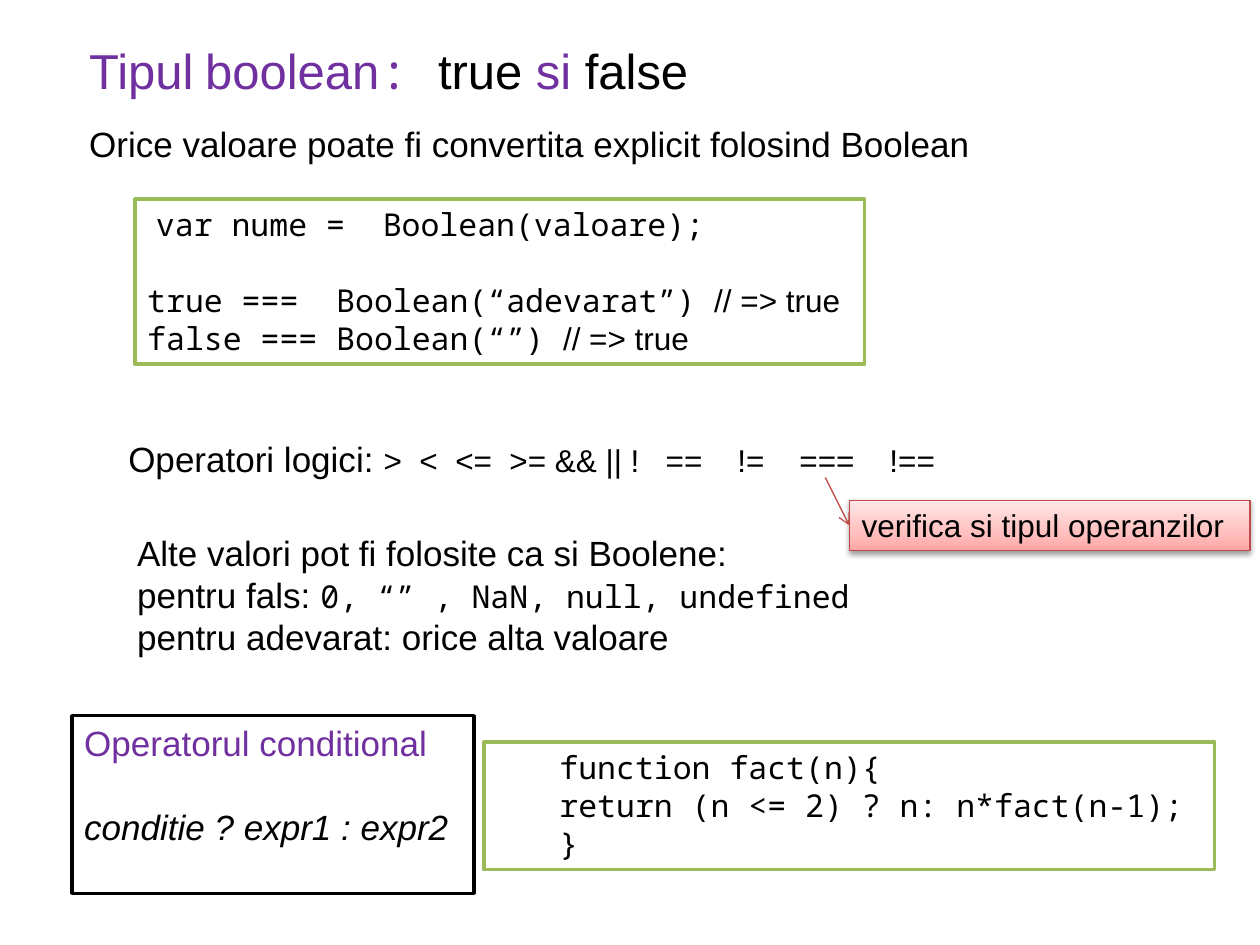
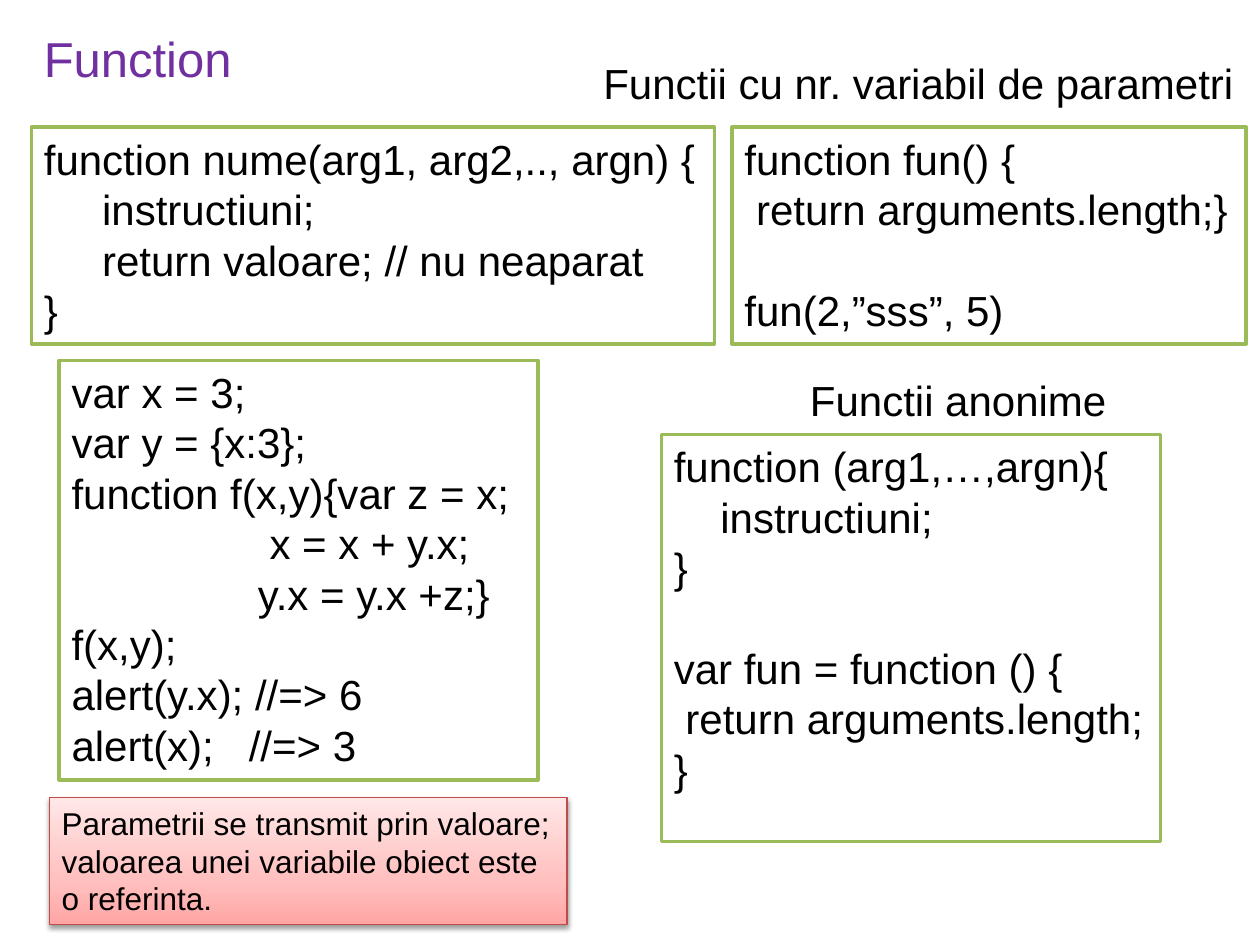
from dataclasses import dataclass

from lxml import etree
from pptx import Presentation
from pptx.dml.color import RGBColor as RGB
from pptx.enum.shapes import MSO_CONNECTOR as CONN, MSO_SHAPE as SHAPE
from pptx.enum.text import MSO_ANCHOR as ANCHOR, PP_ALIGN as ALIGN
from pptx.oxml.ns import qn
from pptx.util import Inches, Pt

COLS, ROWS = 100, 75


@dataclass(frozen=True)
class Theme:
    ink: str = "000000"
    accent: str = "7030A0"
    paper: str = "FFFFFF"
    frame: str = "9BBB59"
    note: str = "BF4C48"
    note_stops: tuple = ((0, "FFA6A5"), (35, "FFC0BF"), (100, "FFE7E7"))
    sans: str = "Arial"
    mono: str = "Noto Sans Mono"
    title: int = 28
    head: int = 24
    body: int = 20
    small: int = 18
    leading: float = 1.2
    frame_width: float = 2
    note_width: float = 0.75


T = Theme()


def style(font, size=None, name=None, color=None, italic=None):
    if size:
        font.size = Pt(size)
    if name:
        font.name = name
    if color:
        font.color.rgb = RGB.from_string(color)
    if italic is not None:
        font.italic = italic


def child(parent, tag, **attrs):
    return etree.SubElement(parent, qn(tag), {k: str(v) for k, v in attrs.items()})


class Deck:
    def __init__(self):
        self.prs = Presentation()
        self.prs.slide_width, self.prs.slide_height = Inches(10), Inches(7.5)
        self.slide = None

    def new_slide(self):
        self.slide = self.prs.slides.add_slide(self.prs.slide_layouts[6])

    def x(self, cols):
        return round(self.prs.slide_width * cols / COLS)

    def y(self, rows):
        return round(self.prs.slide_height * rows / ROWS)

    def area(self, col, row, cols, rows):
        return self.x(col), self.y(row), self.x(cols), self.y(rows)

    def put_text(self, s, lines, size, name=T.sans, color=T.ink, indent=0):
        tf = s.text_frame
        tf.word_wrap = True
        tf.vertical_anchor = ANCHOR.TOP
        tf.margin_left = self.x(1 + indent)
        tf.margin_right = 0
        p, gap = None, 0
        for line in lines:
            if not line:
                gap += size * T.leading
                continue
            p = tf.paragraphs[0] if p is None else tf.add_paragraph()
            p.alignment = ALIGN.LEFT
            if gap:
                p.space_before = Pt(gap)
                gap = 0
            base = dict(size=size, name=name, color=color)
            runs = [(line, {})] if isinstance(line, str) else line
            if len(runs) == 1:
                base.update(runs[0][1])
                runs = [(runs[0][0], {})]
            mixed = {k for _, own in runs for k in own}
            style(p.font, **{k: v for k, v in base.items() if k not in mixed})
            for text, own in runs:
                r = p.add_run()
                r.text = text
                style(r.font, **{k: own.get(k, base.get(k)) for k in mixed})

    def label(self, area, lines, size=T.body, **kw):
        s = self.slide.shapes.add_textbox(*self.area(*area))
        self.put_text(s, lines, size, **kw)

    def title(self, area, line):
        self.label(area, [line], T.title, color=T.accent)

    def rect(self, area, line, width):
        s = self.slide.shapes.add_shape(SHAPE.RECTANGLE, *self.area(*area))
        s.shadow.inherit = False
        s.fill.solid()
        s.fill.fore_color.rgb = RGB.from_string(T.paper)
        s.line.color.rgb = RGB.from_string(line)
        s.line.width = Pt(width)
        return s

    def panel(self, area, lines, size=T.head, line=T.frame, **kw):
        self.put_text(self.rect(area, line, T.frame_width), lines, size, **kw)

    def note(self, area, lines):
        s = self.rect(area, T.note, T.note_width)
        s.fill.gradient()
        s.fill.gradient_angle = 90
        sp_pr = s._element.spPr
        stops = sp_pr.find(".//" + qn("a:gsLst"))
        for gs in list(stops):
            stops.remove(gs)
        for pos, color in T.note_stops:
            child(child(stops, "a:gs", pos=pos * 1000), "a:srgbClr", val=color)
        shadow = child(sp_pr.find(qn("a:effectLst")), "a:outerShdw", blurRad=int(Pt(3.1)),
                       dist=int(Pt(1.6)), dir=5400000, rotWithShape=0)
        child(child(shadow, "a:srgbClr", val=T.ink), "a:alpha", val=38000)
        self.put_text(s, lines, T.small)
        return s

    def arrow(self, col, row, target, site):
        start = self.x(col), self.y(row)
        c = self.slide.shapes.add_connector(CONN.STRAIGHT, *start, *start)
        c.end_connect(target, site)
        c.line.color.rgb = RGB.from_string(T.note)
        c.line.width = Pt(T.note_width)
        sp_pr = c._element.spPr
        child(sp_pr.find(qn("a:ln")), "a:tailEnd", type="arrow")
        child(sp_pr, "a:effectLst")


def boolean_slide(d):
    d.new_slide()
    sans, mono, ink = {"name": T.sans}, {"name": T.mono}, {"color": T.ink}
    small = {"size": T.small}
    d.panel((10.7, 15.8, 57.9, 13.1), [
        [(" ", sans), ("var nume =  Boolean(valoare);", mono)],
        "",
        [("true ===  Boolean(“adevarat”) ", mono), ("// => true", sans)],
        [("false === Boolean(“”) ", mono), ("// => true", sans)],
    ], T.small)
    d.label((6.1, 9.2, 72.5, 4.4),
            ["Orice valoare poate fi convertita explicit folosind Boolean"])
    d.title((6.1, 2.7, 50.2, 5.7), [
        ("Tipul", {}), (" ", {"size": T.head}), ("boolean", {}), (": ", mono),
        ("true ", ink), ("si ", {}), ("false", ink)])
    d.label((9.9, 41.7, 59.3, 14.1), [
        "Alte valori pot fi folosite ca si Boolene:",
        [("pentru fals: ", {}), ("0, “” , NaN, null, undefined", mono | small)],
        "pentru adevarat: orice alta valoare"])
    d.label((9.2, 34.2, 70, 4.4), [
        [("Operatori logici: ", {}),
         (">  <  <=  >= && || !   ==    !=    ===    !==", small)]])
    d.panel((5.7, 56.8, 31.9, 14.1), [
        [("Operatorul conditional", {"color": T.accent})],
        "",
        [("conditie ? expr1 : expr2", {"italic": True})],
    ], T.body, line=T.ink)
    d.panel((38.4, 58.9, 58, 10.1), [
        "function fact(n){",
        "return (n <= 2) ? n: n*fact(n-1);",
        "}",
    ], T.small, name=T.mono, indent=5)
    s = d.note((67.4, 39.7, 31.8, 4), ["verifica si tipul operanzilor"])
    d.arrow(65.5, 37.9, s, 1)


def function_slide(d):
    d.new_slide()
    d.panel((2.5, 10.1, 54.2, 17.2), [
        "function nume(arg1, arg2,.., argn) {",
        "     instructiuni;",
        "     return valoare; // nu neaparat",
        "}"])
    d.panel((4.7, 28.6, 38, 33.3), [
        "var x = 3;",
        "var y = {x:3};",
        "function f(x,y){var z = x;",
        "                 x = x + y.x;",
        "                y.x = y.x +z;}",
        "f(x,y);",
        "alert(y.x); //=> 6",
        "alert(x);   //=> 3"])
    d.note((3.9, 63.3, 41.1, 10.1), [
        "Parametrii se transmit prin valoare;",
        "valoarea unei variabile obiect este",
        "o referinta."])
    d.panel((58.1, 10.1, 40.8, 17.2), [
        "function fun() {",
        " return arguments.length;}",
        "",
        "fun(2,”sss”, 5)"])
    d.panel((52.5, 34.5, 39.6, 32.3), [
        "function (arg1,…,argn){",
        "    instructiuni;",
        "}",
        "",
        "var fun = function () {",
        " return arguments.length;",
        "}"])
    d.label((46.9, 4.1, 52.6, 5), ["Functii cu nr. variabil de parametri"], T.head)
    d.label((63.3, 29.2, 25.8, 5), ["Functii anonime"], T.head)
    d.title((2.5, 1.8, 17.1, 5.7), "Function")


def main():
    d = Deck()
    boolean_slide(d)
    function_slide(d)
    d.prs.save("out.pptx")


if __name__ == "__main__":
    main()
